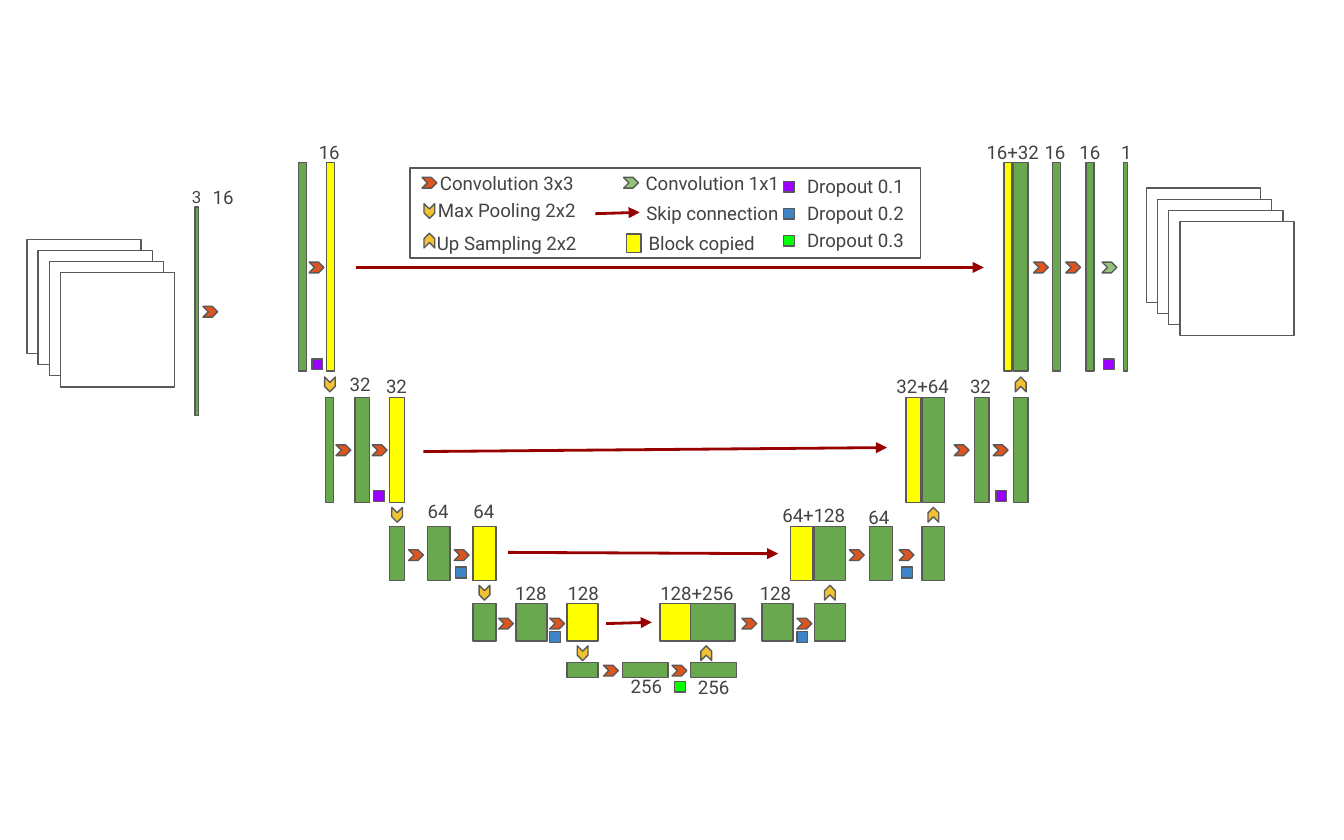
import pptx
import pptx.util
import pptx.dml.color
import pptx.enum.shapes
import pptx.enum.text
import pptx.oxml
import pptx.oxml.ns

Inches, Pt = pptx.util.Inches, pptx.util.Pt
SHAPE = pptx.enum.shapes.MSO_SHAPE

THEME = {
    "green": "6AA84F", "yellow": "FFFF00", "white": "FFFFFF",
    "conv3": "DE541E", "conv1": "93C47D", "pool": "F1C232",
    "drop1": "9900FF", "drop2": "3D85C6", "drop3": "00FF00",
    "outline": "595959", "skip": "980000", "text": "434343",
    "font": "Roboto", "size": 10, "small": 9, "thin": 0.75, "thick": 1.5,
}
MARK_W, MARK_H = 0.11, 0.08     # chevrons
DROP = 0.08                     # dropout squares
LABEL_H = 0.23
RIGHT, DOWN, UP = 0, 90, 270

# Each level of the network:
#   blocks (left, width, colour), convs (left, kind), drops (left, top, kind),
#   labels (left, top, width, text), skip (from x, from y, to x, to y)
LEVELS = [
    {"top": 1.54, "height": 1.55, "conv_y": 2.28,
     "blocks": [(1.45, 0.03, "green")],
     "convs": [(1.51, "conv3")],
     "labels": [(1.43, 1.35, 0.46, "16")]},
    {"top": 1.21, "height": 1.55, "conv_y": 1.95,
     "blocks": [(2.22, 0.06, "green"), (2.43, 0.06, "yellow"),
                (7.54, 0.11, "green"), (7.47, 0.06, "yellow"),
                (7.83, 0.06, "green"), (8.08, 0.06, "green"),
                (8.36, 0.03, "green")],
     "convs": [(2.3, "conv3"), (7.69, "conv3"), (7.93, "conv3"),
               (8.2, "conv1")],
     "drops": [(2.32, 2.67, "drop1"), (8.21, 2.67, "drop1")],
     "labels": [(2.22, 1.02, 0.46, "16"), (7.23, 1.02, 0.61, "16+32"),
                (7.62, 1.02, 0.46, "16"), (7.88, 1.02, 0.46, "16"),
                (8.15, 1.02, 0.46, "1")],
     "skip": (2.65, 1.99, 7.32, 1.99)},
    {"top": 2.96, "height": 0.78, "conv_y": 3.31,
     "blocks": [(2.42, 0.06, "green"), (2.64, 0.11, "green"),
                (2.9, 0.11, "yellow"), (6.86, 0.17, "green"),
                (6.74, 0.11, "yellow"), (7.25, 0.11, "green"),
                (7.54, 0.11, "green")],
     "convs": [(2.5, "conv3"), (2.77, "conv3"), (7.1, "conv3"),
               (7.39, "conv3")],
     "drops": [(2.78, 3.65, "drop1"), (7.41, 3.65, "drop1")],
     "labels": [(2.45, 2.74, 0.46, "32"), (2.72, 2.76, 0.46, "32"),
                (6.56, 2.76, 0.61, "32+64"), (6.99, 2.76, 0.61, "32")],
     "skip": (3.15, 3.36, 6.6, 3.33)},
    {"top": 3.92, "height": 0.4, "conv_y": 4.09,
     "blocks": [(2.9, 0.11, "green"), (3.18, 0.17, "green"),
                (3.52, 0.17, "yellow"), (6.06, 0.23, "green"),
                (5.88, 0.17, "yellow"), (6.47, 0.17, "green"),
                (6.86, 0.17, "green")],
     "convs": [(3.04, "conv3"), (3.38, "conv3"), (6.32, "conv3"),
               (6.69, "conv3")],
     "drops": [(3.39, 4.22, "drop2"), (6.71, 4.22, "drop2")],
     "labels": [(3.03, 3.69, 0.46, "64"), (3.37, 3.69, 0.46, "64"),
                (5.72, 3.72, 0.67, "64+128"), (6.31, 3.73, 0.46, "64")],
     "skip": (3.78, 4.11, 5.79, 4.12)},
    {"top": 4.49, "height": 0.28, "conv_y": 4.6,
     "blocks": [(3.52, 0.17, "green"), (3.84, 0.23, "green"),
                (4.22, 0.23, "yellow"), (4.91, 0.23, "yellow"),
                (5.14, 0.33, "green"), (5.67, 0.23, "green"),
                (6.06, 0.23, "green")],
     "convs": [(3.71, "conv3"), (4.09, "conv3"), (5.52, "conv3"),
               (5.93, "conv3")],
     "drops": [(4.09, 4.7, "drop2"), (5.93, 4.7, "drop2")],
     "labels": [(3.72, 4.3, 0.46, "128"), (4.11, 4.3, 0.46, "128"),
                (4.76, 4.3, 0.85, "128+256"), (5.54, 4.3, 0.46, "128")],
     "skip": (4.51, 4.64, 4.85, 4.63)},
    {"top": 4.93, "height": 0.11, "conv_y": 4.95,
     "blocks": [(4.22, 0.23, "green"), (4.63, 0.34, "green"),
                (5.14, 0.34, "green")],
     "convs": [(4.49, "conv3"), (5, "conv3")],
     "drops": [(5.02, 5.07, "drop3")],
     "labels": [(4.58, 4.99, 0.46, "256"), (5.08, 5, 0.46, "256")]},
]

# Between levels: top, left of the pooling mark, left of the up-sampling mark
RESIZES = [(2.82, 2.4, 7.54), (3.79, 2.9, 6.89),
           (4.37, 3.55, 6.12), (4.82, 4.28, 5.2)]

LEGEND_BOX = (3.05, 1.25, 3.8, 0.67)
LEGEND_MARKS = [(3.14, 1.32, "conv3", RIGHT), (3.14, 1.53, "pool", DOWN),
                (3.14, 1.75, "pool", UP), (4.64, 1.32, "conv1", RIGHT)]
LEGEND_SKIP = (4.43, 1.59, 4.76, 1.58)
LEGEND_BLOCK = (4.66, 1.74, 0.11, 0.14)
LEGEND_TEXT = [(3.08, 1.25, "Convolution 3x3"), (3.08, 1.45, "Max Pooling 2x2"),
               (3.08, 1.69, "Up Sampling 2x2"), (4.61, 1.25, "Convolution 1x1"),
               (4.61, 1.47, "Skip connection"), (4.53, 1.69, "Block copied")]
LEGEND_DROPS = [("drop1", "Dropout 0.1"), ("drop2", "Dropout 0.2"),
                ("drop3", "Dropout 0.3")]

STACKS = [(0.2, 1.78), (8.53, 1.4)]     # input and output pages
PAGE, PAGES, PAGE_STEP = 0.85, 4, 0.083

prs = pptx.Presentation()
prs.slide_width, prs.slide_height = Inches(10), Inches(6.25)
slide = prs.slides.add_slide(prs.slide_layouts[6])


def rgb(name):
    return pptx.dml.color.RGBColor.from_string(THEME[name])


def add_box(x, y, w, h, color, kind=SHAPE.RECTANGLE):
    sp = slide.shapes.add_shape(kind, Inches(x), Inches(y), Inches(w), Inches(h))
    sp.shadow.inherit = False
    sp.fill.solid()
    sp.fill.fore_color.rgb = rgb(color)
    sp.line.color.rgb = rgb("outline")
    sp.line.width = Pt(THEME["thin"])
    return sp


def add_mark(x, y, color, turn=RIGHT):
    sp = add_box(x, y, MARK_W, MARK_H, color, SHAPE.CHEVRON)
    sp.adjustments[0] = 0.5
    sp.rotation = turn


def add_skip(x1, y1, x2, y2):
    cx = slide.shapes.add_connector(pptx.enum.shapes.MSO_CONNECTOR.STRAIGHT,
                                    Inches(x1), Inches(y1), Inches(x2), Inches(y2))
    cx.line.color.rgb = rgb("skip")
    cx.line.width = Pt(THEME["thick"])
    ln = cx.line._get_or_add_ln()
    ln.append(pptx.oxml.parse_xml(
        f'<a:tailEnd {pptx.oxml.ns.nsdecls("a")} type="triangle"/>'))
    ln.addnext(pptx.oxml.parse_xml(f'<a:effectLst {pptx.oxml.ns.nsdecls("a")}/>'))


def add_label(x, y, w, text, size="size"):
    tb = slide.shapes.add_textbox(Inches(x), Inches(y), Inches(w), Inches(LABEL_H))
    tf = tb.text_frame
    tf.word_wrap = True
    tf.vertical_anchor = pptx.enum.text.MSO_ANCHOR.MIDDLE
    tf.margin_left = tf.margin_right = tf.margin_top = tf.margin_bottom = Inches(0.1)
    p = tf.paragraphs[0]
    p.alignment = pptx.enum.text.PP_ALIGN.CENTER
    r = p.add_run()
    r.text = text
    r.font.name = THEME["font"]
    r.font.size = Pt(THEME[size])
    r.font.color.rgb = rgb("text")


# Network levels
for level in LEVELS:
    for x, w, color in level["blocks"]:
        add_box(x, level["top"], w, level["height"], color)
    for x, kind in level["convs"]:
        add_mark(x, level["conv_y"], kind)
    for x, y, kind in level.get("drops", []):
        add_box(x, y, DROP, DROP, kind)
    for label in level["labels"]:
        add_label(*label)
    if "skip" in level:
        add_skip(*level["skip"])
add_label(1.33, 1.35, 0.23, "3", "small")

# Pooling on the way down, up-sampling on the way up
for y, pool_x, up_x in RESIZES:
    add_mark(pool_x, y, "pool", DOWN)
    add_mark(up_x, y, "pool", UP)

# Legend
add_box(*LEGEND_BOX, "white")
for mark in LEGEND_MARKS:
    add_mark(*mark)
add_skip(*LEGEND_SKIP)
add_box(*LEGEND_BLOCK, "yellow")
for x, y, text in LEGEND_TEXT:
    add_label(x, y, 1.38, text)
for i, (kind, text) in enumerate(LEGEND_DROPS):
    add_box(5.83, 1.35 + 0.2 * i, DROP, DROP, kind)
    add_label(5.9, 1.27 + 0.2 * i, 0.93, text)

# Stacked input and output pages
for x, y in STACKS:
    for i in range(PAGES):
        add_box(x + i * PAGE_STEP, y + i * PAGE_STEP, PAGE, PAGE, "white")

prs.save("out.pptx")
